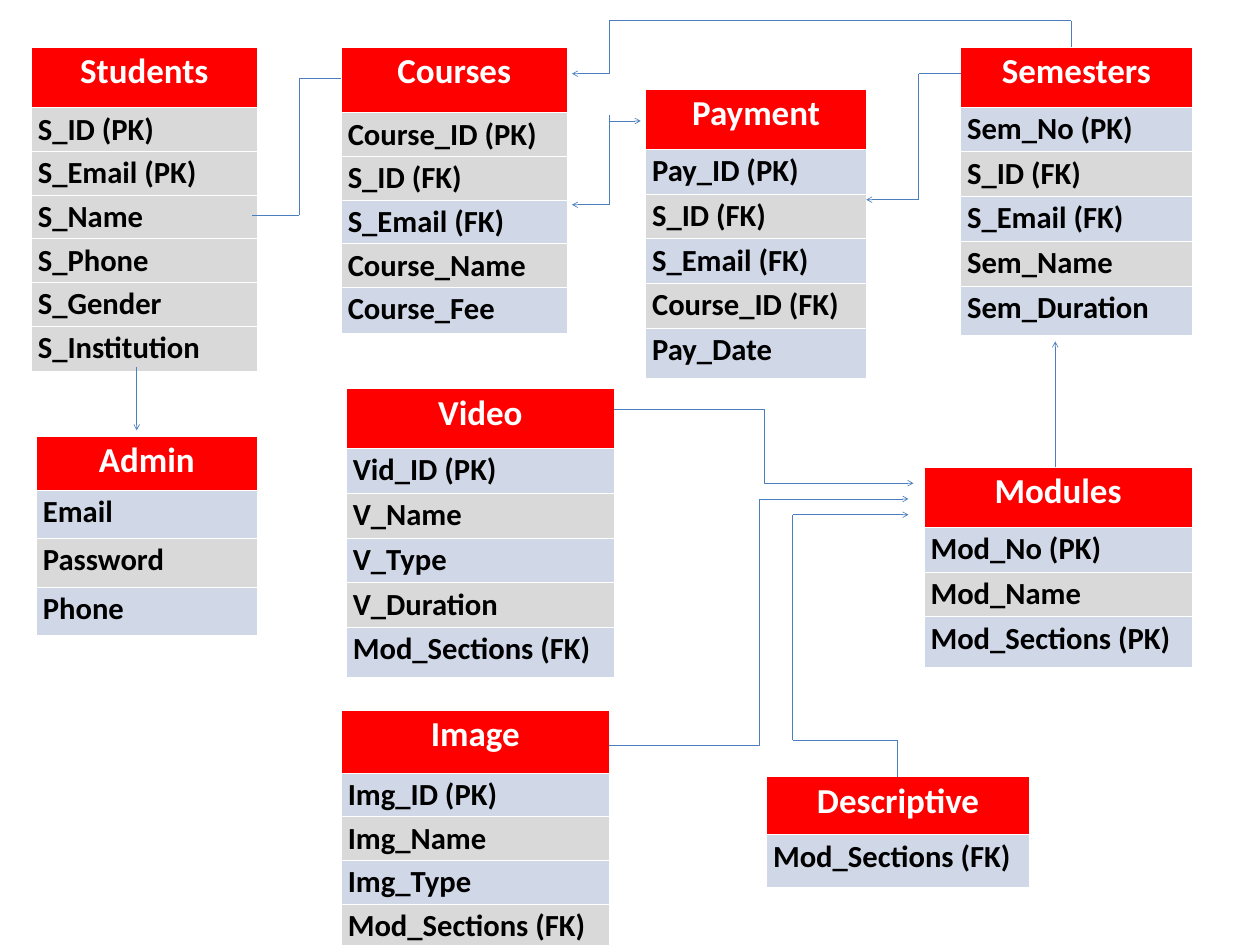
"""Draw the table schema of a course site as linked entity tables."""
from dataclasses import dataclass
from itertools import pairwise

from lxml import etree
from pptx import Presentation
from pptx import util as u
from pptx.dml.color import RGBColor
from pptx.enum import shapes, text
from pptx.oxml.ns import qn


@dataclass(frozen=True)
class Theme:
    font: str = "Calibri"
    white: str = "FFFFFF"
    black: str = "000000"
    red: str = "FF0000"
    grey: str = "D9D9D9"
    blue: str = "D0D8E8"
    link: str = "4B7EBC"
    head: int = 40
    body: int = 35
    line: float = 0.75


class Board:
    scale = u.Inches(1) // 100

    def __init__(self, theme, width, height):
        self.theme = theme
        self.deck = Presentation()
        self.deck.slide_width, self.deck.slide_height = self.px(width, height)
        self.slide = self.deck.slides.add_slide(self.deck.slide_layouts[6])

    def px(self, *nums):
        return [u.Emu(num * self.scale) for num in nums]

    def cell(self, cell, words, fill, ink, size):
        cell.fill.solid()
        cell.fill.fore_color.rgb = RGBColor.from_string(fill)
        cell.text_frame.text = words
        font = cell.text_frame.paragraphs[0].runs[0].font
        font.name, font.size, font.bold = self.theme.font, u.Pt(size), True
        font.color.rgb = RGBColor.from_string(ink)

    def table(self, title, fields, left, top, width, head, row, last, greys=0):
        look = self.theme
        highs = [head] + [row] * (len(fields) - 1) + [last]
        box = self.px(left, top, width, sum(highs))
        table = self.slide.shapes.add_table(len(highs), 1, *box).table
        table.horz_banding = False
        for line, high in zip(table.rows, self.px(*highs)):
            line.height = high
        self.cell(table.cell(0, 0), title, look.red, look.white, look.head)
        table.cell(0, 0).text_frame.paragraphs[0].alignment = text.PP_ALIGN.CENTER
        for num, field in enumerate(fields, 1):
            fill = look.grey if num <= greys or num % 2 == 0 else look.blue
            self.cell(table.cell(num, 0), field, fill, look.black, look.body)

    def link(self, start, end, arrow=True, kind=shapes.MSO_CONNECTOR.STRAIGHT):
        ends = self.px(*start, *end)
        link = self.slide.shapes.add_connector(kind, *ends)
        link.line.color.rgb = RGBColor.from_string(self.theme.link)
        link.line.width = u.Pt(self.theme.line)
        if arrow:
            etree.SubElement(link.line._ln, qn("a:tailEnd"), type="arrow")
        etree.SubElement(link._element.spPr, qn("a:effectLst"))

    def elbow(self, start, end):
        self.link(start, end, kind=shapes.MSO_CONNECTOR.ELBOW)

    def route(self, points, arrow=True):
        for start, end in pairwise(points):
            self.link(start, end, arrow and end == points[-1])


TABLES = [
    ("Students", ["S_ID (PK)", "S_Email (PK)", "S_Name", "S_Phone", "S_Gender",
                  "S_Institution"], 50, 75, 358, 96, 67, 71, 6),
    ("Admin", ["Email", "Password", "Phone"], 58, 692, 350, 86, 77, 77),
    ("Courses", ["Course_ID (PK)", "S_ID (FK)", "S_Email (FK)", "Course_Name",
                 "Course_Fee"], 542, 75, 358, 104, 66, 73, 1),
    ("Payment", ["Pay_ID (PK)", "S_ID (FK)", "S_Email (FK)", "Course_ID (FK)",
                 "Pay_Date"], 1025, 142, 350, 95, 71, 79),
    ("Semesters", ["Sem_No (PK)", "S_ID (FK)", "S_Email (FK)", "Sem_Name",
                   "Sem_Duration"], 1525, 75, 367, 95, 71, 79),
    ("Modules", ["Mod_No (PK)", "Mod_Name", "Mod_Sections (PK)"],
     1467, 742, 425, 95, 71, 80),
    ("Video", ["Vid_ID (PK)", "V_Name", "V_Type", "V_Duration",
               "Mod_Sections (FK)"], 550, 617, 425, 95, 71, 79),
    ("Image", ["Img_ID (PK)", "Img_Name", "Img_Type", "Mod_Sections (FK)"],
     542, 1127, 425, 100, 68, 68),
    ("Descriptive", ["Mod_Sections (FK)"], 1217, 1233, 417, 92, 83, 83),
]

ROUTES = [
    [(217, 583), (217, 683)],
    [(967, 183), (967, 325), (908, 325)],
    [(967, 192), (1017, 192)],
    [(1525, 117), (1458, 117), (1458, 317), (1375, 317)],
    [(1700, 75), (1700, 33), (967, 33), (967, 117), (908, 117)],
    [(1675, 742), (1675, 542)],
    [(1425, 1233), (1425, 1175), (1258, 1175), (1258, 817), (1442, 817)],
]


def main():
    board = Board(Theme(), 2000, 1500)
    for table in TABLES:
        board.table(*table)
    for route in ROUTES:
        board.route(route)
    board.route([(400, 342), (475, 342), (475, 125), (542, 125)], arrow=False)
    board.elbow((975, 650), (1450, 767))
    board.elbow((967, 1183), (1442, 792))
    board.deck.save("out.pptx")


if __name__ == "__main__":
    main()
